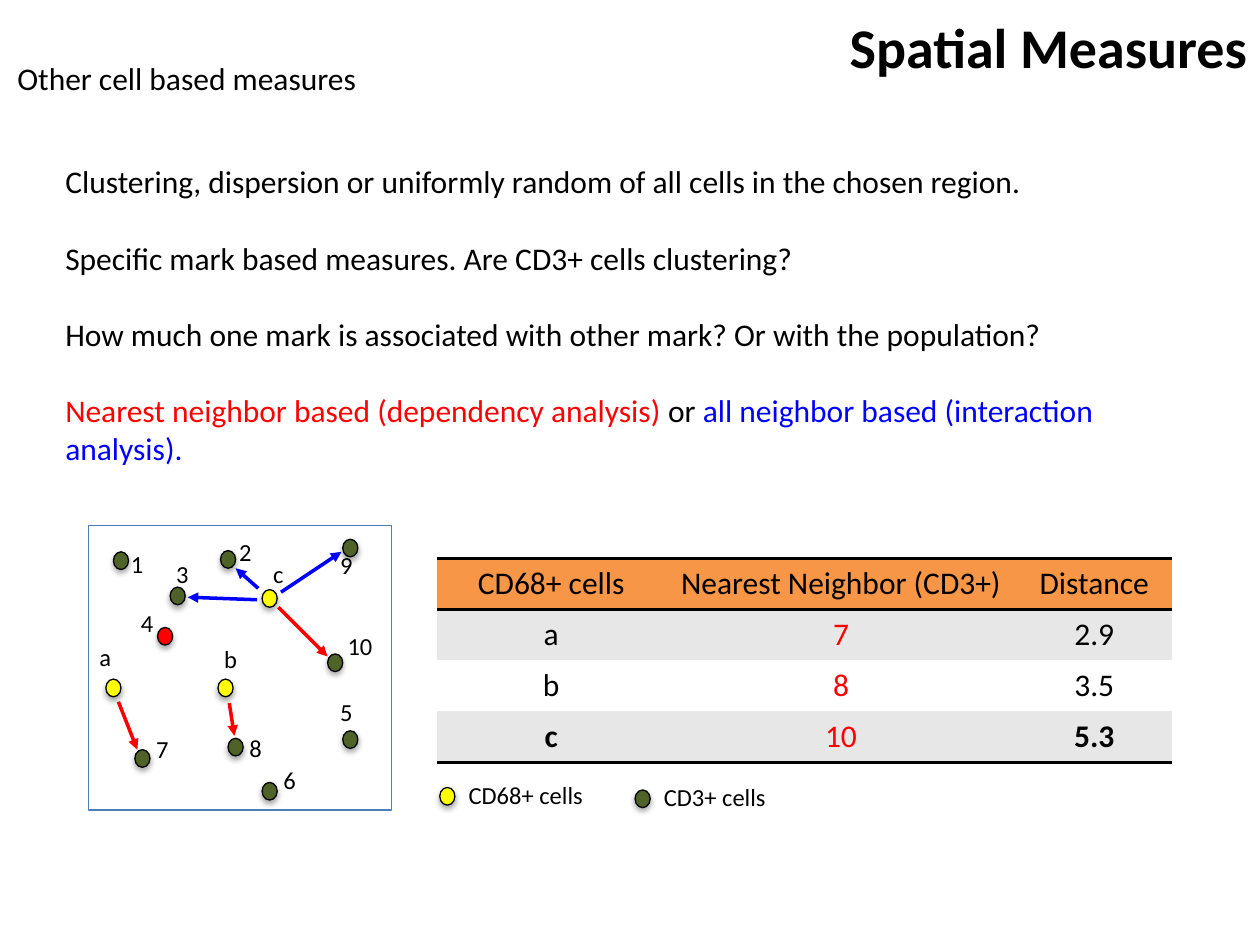
from dataclasses import dataclass

from lxml.etree import SubElement
from pptx import Presentation
from pptx.dml.color import RGBColor
from pptx.enum.shapes import MSO_CONNECTOR as Connector, MSO_SHAPE as Preset
from pptx.enum.text import MSO_ANCHOR as Anchor, MSO_AUTO_SIZE as AutoSize, PP_ALIGN as Align
from pptx.oxml.ns import qn
from pptx.util import Inches, Pt


@dataclass(frozen=True)
class Theme:
    font: str = "Calibri"
    title: int = 32
    body: int = 18
    label: int = 14
    black: str = "000000"
    red: str = "FF0000"
    blue: str = "0000FF"
    yellow: str = "FFFF00"
    green: str = "4F6228"
    frame: str = "4B7EBC"
    header: str = "F79646"
    band: str = "E7E7E7"
    white: str = "FFFFFF"


THEME = Theme()
NO_STYLE = "{2D5ABB26-0587-4C30-8999-92F81FD0307C}"

CELLS = [
    ("1", THEME.green, (0.20, 0.21), (0.24, 0.14)),
    ("2", THEME.green, (1.05, 0.20), (1.10, 0.04)),
    ("3", THEME.green, (0.65, 0.49), (0.60, 0.22)),
    ("4", THEME.red, (0.55, 0.81), (0.32, 0.61)),
    ("5", THEME.green, (2.02, 1.63), (1.90, 1.31)),
    ("6", THEME.green, (1.38, 2.04), (1.45, 1.85)),
    ("7", THEME.green, (0.37, 1.78), (0.44, 1.61)),
    ("8", THEME.green, (1.11, 1.69), (1.18, 1.60)),
    ("9", THEME.green, (2.02, 0.11), (1.90, 0.15)),
    ("10", THEME.green, (1.90, 1.02), (1.96, 0.79)),
    ("a", THEME.yellow, (0.14, 1.22), (-0.01, 0.88)),
    ("b", THEME.yellow, (1.03, 1.22), (0.98, 0.89)),
    ("c", THEME.yellow, (1.38, 0.51), (1.37, 0.22)),
]
ARROWS = [
    (THEME.red, (0.24, 1.40), (0.39, 1.78)),
    (THEME.red, (1.12, 1.41), (1.16, 1.67)),
    (THEME.red, (1.51, 0.65), (1.90, 1.04)),
    (THEME.blue, (1.53, 0.53), (2.01, 0.21)),
    (THEME.blue, (1.35, 0.50), (1.17, 0.34)),
    (THEME.blue, (1.34, 0.59), (0.79, 0.57)),
]
STATEMENTS = [
    [("Clustering, dispersion or uniformly random of all cells in the chosen region.", THEME.black)],
    [("Specific mark based measures. Are CD3+ cells clustering?", THEME.black)],
    [("How much one mark is associated with other mark? Or with the population?", THEME.black)],
    [
        ("Nearest neighbor based (dependency analysis) ", THEME.red),
        ("or ", THEME.black),
        ("all neighbor based (interaction analysis).", THEME.blue),
    ],
]
NEIGHBORS = [
    ("CD68+ cells", "Nearest Neighbor (CD3+)", "Distance"),
    ("a", "7", "2.9"),
    ("b", "8", "3.5"),
    ("c", "10", "5.3"),
]


def color(value):
    return RGBColor.from_string(value)


def set_font(paragraph, size, value=THEME.black, bold=False):
    font = paragraph.font
    font.name, font.size, font.bold = THEME.font, Pt(size), bold
    font.color.rgb = color(value)


def add_text(slide, box, paragraphs, size, bold=False, align=Align.LEFT, gap=0):
    frame = slide.shapes.add_textbox(*map(Inches, box)).text_frame
    frame.word_wrap = True
    frame.auto_size = AutoSize.SHAPE_TO_FIT_TEXT
    for index, runs in enumerate(paragraphs):
        paragraph = frame.add_paragraph() if index else frame.paragraphs[0]
        paragraph.alignment = align
        if index:
            paragraph.space_before = Pt(gap)
        set_font(paragraph, size, bold=bold)
        for text, value in runs:
            run = paragraph.add_run()
            run.text = text
            if value != THEME.black:
                run.font.color.rgb = color(value)


def add_line_of_text(slide, box, text, size, **options):
    add_text(slide, box, [[(text, THEME.black)]], size, **options)


def add_dot(slide, left, top, value):
    dot = slide.shapes.add_shape(Preset.OVAL, *map(Inches, (left, top, 0.12, 0.14)))
    dot.fill.solid()
    dot.fill.fore_color.rgb = color(value)
    dot.line.color.rgb = color(THEME.black)
    dot.line.width = Pt(0.75)
    dot.shadow.inherit = False
    effects = dot._element.spPr.find(qn("a:effectLst"))
    shadow = SubElement(effects, qn("a:outerShdw"), blurRad="40000", dist="23000",
                        dir="5400000", rotWithShape="0")
    black = SubElement(shadow, qn("a:srgbClr"), val=THEME.black)
    SubElement(black, qn("a:alpha"), val="35000")


def add_arrow(slide, start, end, value):
    arrow = slide.shapes.add_connector(Connector.STRAIGHT, *map(Inches, start + end))
    arrow.line.color.rgb = color(value)
    arrow.line.width = Pt(2)
    SubElement(arrow.line._get_or_add_ln(), qn("a:tailEnd"), type="triangle")
    SubElement(arrow._element.spPr, qn("a:effectLst"))


def add_cell_map(slide, left, top, width, height):
    frame = slide.shapes.add_shape(Preset.RECTANGLE, *map(Inches, (left, top, width, height)))
    frame.fill.background()
    frame.line.color.rgb = color(THEME.frame)
    frame.line.width = Pt(0.75)
    frame.shadow.inherit = False
    for name, value, (dot_x, dot_y), (label_x, label_y) in CELLS:
        add_dot(slide, left + dot_x, top + dot_y, value)
        add_line_of_text(slide, (left + label_x, top + label_y, 0.41, 0.34), name, THEME.label)
    for value, (start_x, start_y), (end_x, end_y) in ARROWS:
        add_arrow(slide, (left + start_x, top + start_y), (left + end_x, top + end_y), value)


def add_border(cell, side):
    line = SubElement(cell._tc.get_or_add_tcPr(), qn(f"a:{side}"), w=str(Pt(2)))
    fill = SubElement(line, qn("a:solidFill"))
    SubElement(fill, qn("a:srgbClr"), val=THEME.black)


def add_neighbor_table(slide, left, top, width, height):
    last = len(NEIGHBORS) - 1
    table = slide.shapes.add_table(len(NEIGHBORS), 3, *map(Inches, (left, top, width, height))).table
    table.first_row = table.horz_banding = False
    table._tbl.tblPr.find(qn("a:tableStyleId")).text = NO_STYLE
    for column, column_width in zip(table.columns, (1.81, 2.79, 1.23)):
        column.width = Inches(column_width)
    for row, values in enumerate(NEIGHBORS):
        for column, text in enumerate(values):
            cell = table.cell(row, column)
            if row == 0:
                add_border(cell, "lnT")
            if row in (0, last):
                add_border(cell, "lnB")
            cell.fill.solid()
            band = THEME.band if row % 2 else THEME.white
            cell.fill.fore_color.rgb = color(band if row else THEME.header)
            cell.vertical_anchor = Anchor.TOP
            paragraph = cell.text_frame.paragraphs[0]
            paragraph.text = text
            paragraph.alignment = Align.CENTER
            is_neighbor = row > 0 and column == 1
            set_font(paragraph, THEME.body, THEME.red if is_neighbor else THEME.black,
                     bold=row == last and not is_neighbor)


def add_legend_entry(slide, left, top, text, value):
    add_dot(slide, left, top + 0.11, value)
    add_line_of_text(slide, (left + 0.13, top, 1.38, 0.34), text, THEME.label)


def main():
    presentation = Presentation()
    presentation.slide_width, presentation.slide_height = Inches(10), Inches(7.5)
    slide = presentation.slides.add_slide(presentation.slide_layouts[6])
    add_line_of_text(slide, (5.37, 0.05, 4.63, 0.64), "Spatial Measures", THEME.title,
                     bold=True, align=Align.RIGHT)
    add_line_of_text(slide, (0.04, 0.42, 4.23, 0.4), "Other cell based measures", THEME.body)
    add_text(slide, (0.42, 1.24, 9.14, 2.83), STATEMENTS, THEME.body, gap=22)
    add_cell_map(slide, 0.7, 4.17, 2.41, 2.26)
    add_neighbor_table(slide, 3.47, 4.43, 5.83, 1.62)
    add_legend_entry(slide, 3.49, 6.14, "CD68+ cells", THEME.yellow)
    add_legend_entry(slide, 5.04, 6.16, "CD3+ cells", THEME.green)
    presentation.save("out.pptx")


if __name__ == "__main__":
    main()
